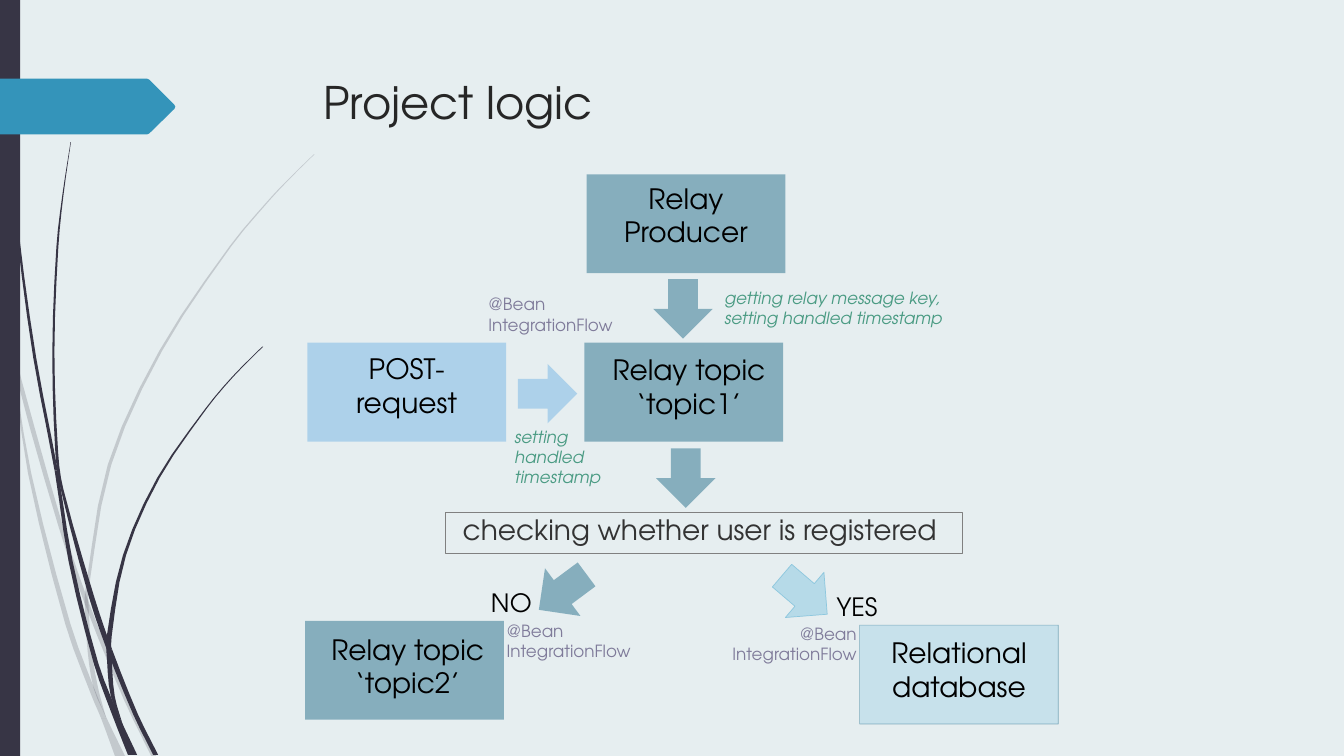
from lxml import etree
from pptx import Presentation
from pptx.dml.color import RGBColor
from pptx.enum.shapes import MSO_SHAPE
from pptx.enum.text import MSO_ANCHOR, PP_ALIGN
from pptx.oxml.ns import qn
from pptx.util import Pt

RECT, DOWN_ARROW = MSO_SHAPE.RECTANGLE, MSO_SHAPE.DOWN_ARROW
TOP, MIDDLE = MSO_ANCHOR.TOP, MSO_ANCHOR.MIDDLE
LEFT, CENTER, RIGHT = PP_ALIGN.LEFT, PP_ALIGN.CENTER, PP_ALIGN.RIGHT
FONT = "TeX Gyre Adventor"
COLORS = {
    "background": "E6EEF0", "ink": "373545", "tag": "3494BA", "title": "262626",
    "relay": "276F8B", "request": "75B6E5", "database": "AAD6E7",
    "yes_edge": "7FC1DB", "check_edge": "808080", "check": "333333",
    "label": "000000", "bean": "7F7B9A", "action": "4A9B83",
}
NODE_W, NODE_H, ARROW = 142, 70.6, 42.5
STEPS = 3  # samples between two knots of a blade

# Each blade: the knots where it is cut, then (left x, y, width) from tip to root.
PALE_BLADES = [
    ([2, 6], [(0, 203, 0), (0, 215, 2), (7.9, 252, 0.2), (20, 338, 2.3),
              (46.7, 446, 3.7), (65.4, 497, 4), (72.2, 513, 4), (82.1, 540, 7.2)]),
    ([3], [(10, 248, 0), (12.2, 270.7, 3), (41.8, 376, 3.2), (60.5, 431, 3.2),
           (88.6, 500, 3), (108, 540, 3.6)]),
    ([6, 7], [(224.2, 110.2, 0.5), (208, 126, 0.7), (192.6, 142, 1),
              (164.2, 175.7, 1.2), (113.8, 250.6, 2), (77, 332, 2.5),
              (61.2, 420.5, 2.2), (60.5, 431, 2.7), (62.6, 465, 2.9),
              (67, 492, 3.2), (75.6, 512, 0)]),
]
DARK_BLADES = [
    ([5], [(2, 0, 1), (2.9, 34.6, 0.8), (4.9, 79, 0.8), (12.2, 168, 1.5),
           (23.8, 255.6, 2.1), (39, 336, 2.3), (49, 401, 2.9), (67, 474, 3.3),
           (79.9, 510, 4.5), (91.4, 539.3, 6.6)]),
    ([5, 7], [(50.4, 101.5, 0.3), (44.6, 139, 0.8), (40.3, 176.4, 1.4),
              (37.4, 251, 1.5), (39.6, 324, 2), (43.5, 350, 1.9),
              (63.4, 426, 3.8), (76.3, 464, 3.8), (95, 510, 3.4),
              (109.4, 539.3, 3.6)]),
    ([5, 6], [(187.2, 247.7, 0.7), (166.3, 268.6, 0.9), (146.9, 291.6, 1),
              (112.3, 341.3, 1.8), (87.8, 396.7, 2.2), (76.3, 454.3, 3.5),
              (76.5, 472, 3.4), (79.2, 497.5, 2.8), (87.5, 517, 0)]),
]


def set_color(paint, color, opacity=100):
    """Make a fill solid in a named colour, with opacity in percent."""
    paint.solid()
    paint.fore_color.rgb = RGBColor.from_string(COLORS[color])
    if opacity < 100:
        for rgb in paint._xPr.iter(qn("a:srgbClr")):
            etree.SubElement(rgb, qn("a:alpha"), val=str(opacity * 1000))


def paint_shape(shape, fill=None, opacity=100, edge=None, edge_width=0.5, edge_opacity=100):
    """Set the fill and outline of a shape and drop its shadow."""
    shape.shadow.inherit = False
    if edge:
        shape.line.width = Pt(edge_width)
        set_color(shape.line.fill, edge, edge_opacity)
    else:
        shape.line.fill.background()
    if fill:
        set_color(shape.fill, fill, opacity)
    else:
        shape.fill.background()


def write(shape, lines, size, color, align=LEFT, italic=False, anchor=TOP,
          insets=(7.2, 3.6, 7.2, 3.6)):
    """Fill a shape with paragraphs; insets are left, top, right, bottom."""
    frame = shape.text_frame
    frame.word_wrap = True
    frame.vertical_anchor = anchor
    (frame.margin_left, frame.margin_top,
     frame.margin_right, frame.margin_bottom) = map(Pt, insets)
    frame.text = "\n".join(lines)
    for paragraph in frame.paragraphs:
        paragraph.alignment = align
        font = paragraph.font
        font.name, font.size, font.italic = FONT, Pt(size), italic
        font.color.rgb = RGBColor.from_string(COLORS[color])


def add_label(slide, box, lines, size, color, align=LEFT, italic=False):
    """Add free text in a box of left, top, width, height."""
    write(slide.shapes.add_textbox(*map(Pt, box)), lines, size, color, align, italic)


def add_outline(slide, points, color, opacity=100):
    """Add a closed filled polygon through the points."""
    corners = [(Pt(x), Pt(y)) for x, y in points]
    builder = slide.shapes.build_freeform(*corners[0], scale=1.0)
    builder.add_line_segments(corners[1:], close=True)
    paint_shape(builder.convert_to_shape(), color, opacity)


def smooth(knots):
    """Return samples of a cubic curve through the knots, with x and width led by y."""
    padded = [knots[0], *knots, knots[-1]]
    samples = []
    for a, b, c, d in zip(padded, padded[1:], padded[2:], padded[3:]):
        rise = c[1] - b[1]
        for step in range(STEPS):
            t = step / STEPS
            samples.append(tuple(
                q + (r - q) * t * t * (3 - 2 * t)
                + rise * t * (1 - t) * ((1 - t) * (r - p) / (c[1] - a[1])
                                        - t * (s - q) / (d[1] - b[1]))
                for p, q, r, s in zip(a, b, c, d)))
    return samples + [knots[-1]]


def add_grass(slide, left, top):
    """Draw the pale and dark blades, section by section, from the given corner."""
    for blades, opacity in ((PALE_BLADES, 20), (DARK_BLADES, 100)):
        for cuts, knots in blades:
            curve = smooth(knots)
            for first, last in zip([0, *cuts], [*cuts, len(knots) - 1]):
                section = curve[first * STEPS:last * STEPS + 1]
                left_edge = [(left + x, top + y) for x, y, _ in section]
                right_edge = [(left + x + width, top + y) for x, y, width in section]
                add_outline(slide, left_edge + right_edge[::-1], "ink", opacity)


def add_side_decor(slide, left, top, height):
    """Draw the grass, the dark spine and the pointed tag."""
    add_grass(slide, left, top)
    spine = slide.shapes.add_shape(RECT, Pt(left), Pt(top), Pt(14.4), Pt(height))
    paint_shape(spine, "ink")
    tag = [(0, 56.2), (105, 56.2), (106.6, 56.9), (124.6, 74.9), (125.2, 76.3),
           (124.6, 77.8), (106.6, 95.4), (105, 96), (0, 96)]
    add_outline(slide, [(left + x, top + y) for x, y in tag], "tag")


def add_node(slide, left, top, text, color, text_top, shift=0, side=7.2, edge=None):
    """Add one step of the flow; shift moves its text sideways, side narrows it."""
    node = slide.shapes.add_shape(RECT, Pt(left), Pt(top), Pt(NODE_W), Pt(NODE_H))
    paint_shape(node, color, 50, edge, edge_opacity=50)
    write(node, [text], 20, "label", CENTER,
          insets=(side + 2 * shift, text_top, side, 3.6))


def add_arrow(slide, left, top, color, turn=0, opacity=50, edge=None):
    """Add a block arrow that points down before it is turned."""
    arrow = slide.shapes.add_shape(DOWN_ARROW, Pt(left), Pt(top), Pt(ARROW), Pt(ARROW))
    arrow.rotation = turn
    paint_shape(arrow, color, opacity, edge)


def add_flow(slide, left, top):
    """Draw the message flow from the given corner."""
    for x, y, *style in (
            (248.6, 74.9, "relay"), (151.9, 135.4, "request", 270),
            (250.6, 195.8, "relay"), (162.7, 277.2, "relay", 53.4),
            (335.5, 279.2, "database", 310.5, 80, "yes_edge")):
        add_arrow(slide, left + x, top + y, *style)

    for x, y, *content in (
            (201, 0, "Relay Producer", "relay", 5),
            (1.5, 120.3, "POST-request", "request", 6.5, 0, 20),
            (199.5, 120.3, "Relay topic ‘topic1’", "relay", 7.2, 3.6),
            (0, 319, "Relay topic ‘topic2’", "relay", 8, 2.2),
            (396, 322, "Relational database", "database", 7.5, 0, 7.2, "relay")):
        add_node(slide, left + x, top + y, *content)

    check = slide.shapes.add_shape(RECT, Pt(left + 100), Pt(top + 241.2), Pt(369.4), Pt(29.5))
    paint_shape(check, edge="check_edge", edge_width=0.25)
    write(check, ["checking whether user is registered "], 20, "check", CENTER,
          anchor=MIDDLE, insets=(0, 0, 0, 5))

    for x, y, answer in ((123.8, 291.2, "NO"), (370.8, 294, "YES")):
        add_label(slide, (left + x, top + y, 46.8, 29.5), [answer], 18, "label", CENTER)
    for x, y, align in ((123.8, 82.1, LEFT), (136.8, 315.4, LEFT), (291.6, 317.5, RIGHT)):
        add_label(slide, (left + x, top + y, 109.4, 36),
                  ["@Bean", "IntegrationFlow"], 12, "bean", align)
    for x, y, width, height, action in (
            (292.5, 77.4, 187.9, 36, "getting relay message key, setting handled timestamp"),
            (142.6, 176.4, 100.8, 51, "setting handled timestamp")):
        add_label(slide, (left + x, top + y, width, height), [action], 12, "action", italic=True)


def build_project_logic(deck):
    """Add the project logic slide."""
    slide = deck.slides.add_slide(deck.slide_layouts[6])
    set_color(slide.background.fill, "background")
    add_side_decor(slide, 0, 0, 540)
    add_label(slide, (223.9, 50, 702, 76.3), ["Project logic"], 32, "title")
    add_flow(slide, 218, 124.5)


deck = Presentation()
deck.slide_width, deck.slide_height = Pt(960), Pt(540)
build_project_logic(deck)
deck.save("out.pptx")
